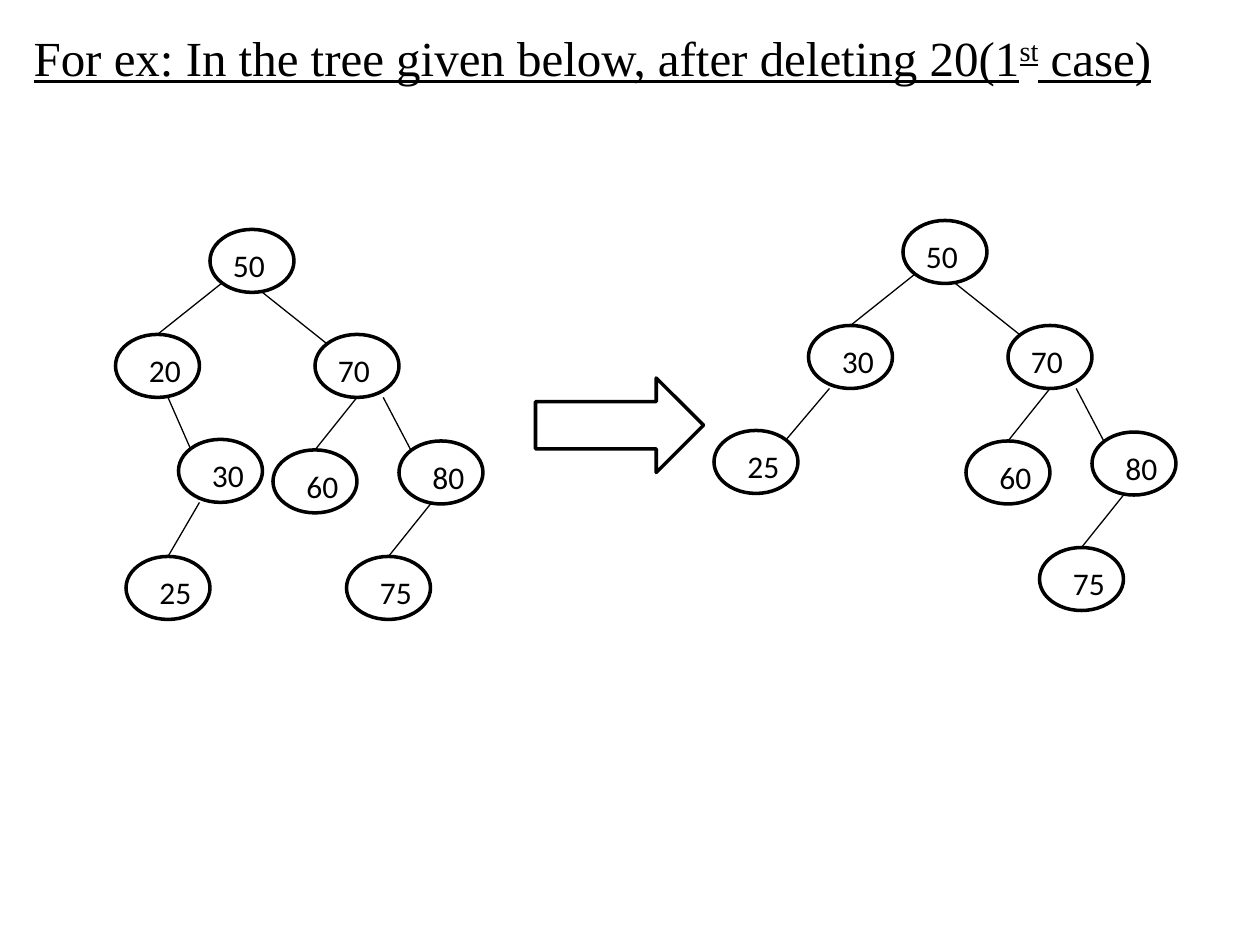
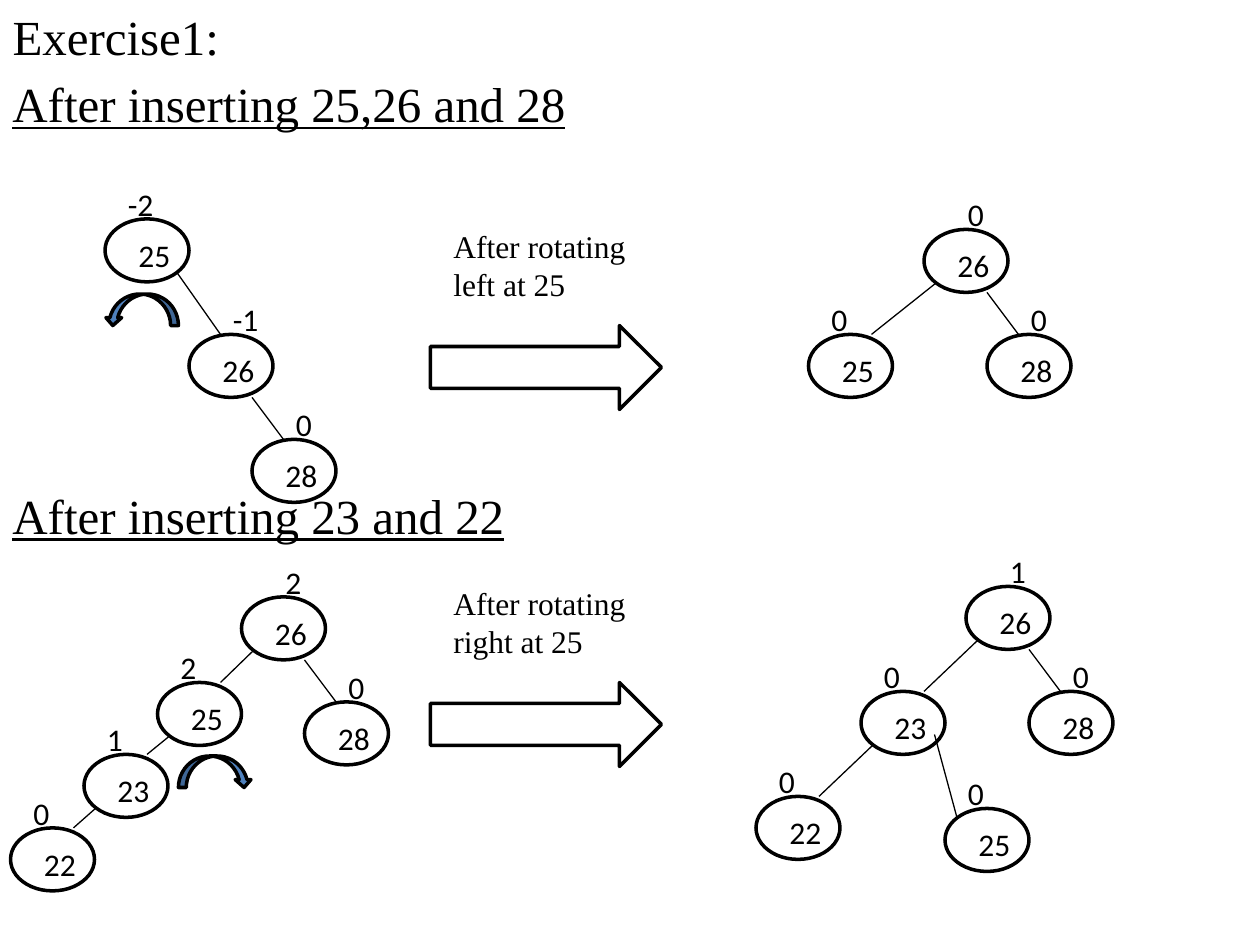
import dataclasses
import typing

import pptx
import pptx.dml.color
import pptx.enum.shapes
import pptx.enum.text
import pptx.oxml.ns
import pptx.util
from lxml import etree

WIDTH, HEIGHT = pptx.util.Inches(10), pptx.util.Inches(7.5)
COLUMN, ROW = WIDTH / 120, HEIGHT / 90
COLORS = {"ink": "000000", "paper": "FFFFFF", "turn": "4F81BD"}
HEADING_FONT, LABEL_FONT = "Times New Roman", "Calibri"
NODE_WIDTH, NODE_HEIGHT = 8, 6
KEY_DROP, BALANCE_RISE = 1, 3.85
SHAPES = pptx.enum.shapes.MSO_SHAPE

Point = tuple[float, float]

# Points where branches meet a node, in columns and rows from its top left
TOP, BOTTOM = (4, 0), (4, 6)
TOP_LEFT, TOP_RIGHT = (3, 0), (6, 0)
UPPER_LEFT, UPPER_RIGHT = (1.15, 0.9), (6.85, 0.9)
LOWER_LEFT, LOWER_RIGHT = (1.15, 5.1), (6.85, 5.1)
BOTTOM_LEFT, BOTTOM_RIGHT, BOTTOM_FAR_RIGHT = (2, 6), (6, 6), (6.5, 6)
BOTTOM_NEAR_LEFT, BOTTOM_NEAR_RIGHT = (3, 6), (5, 6)
INNER_RIGHT = (7, 4.1)


@dataclasses.dataclass(frozen=True)
class Area:
    """A place on the slide in grid columns and rows."""
    column: float
    row: float
    columns: float
    rows: float

    def lengths(self) -> tuple[int, int, int, int]:
        return (round(self.column * COLUMN), round(self.row * ROW),
                round(self.columns * COLUMN), round(self.rows * ROW))


@dataclasses.dataclass(frozen=True)
class Node:
    key: str
    column: float
    row: float
    parent: str = ""
    start: Point = LOWER_LEFT
    end: Point = TOP
    key_shift: float = 2
    balance: str = ""
    balance_shift: float = 3


@dataclasses.dataclass(frozen=True)
class Tree:
    nodes: list[Node]
    key_columns: float


@dataclasses.dataclass(frozen=True)
class Rotation:
    """A labelled step arrow with the curved arrow that shows the turn."""
    caption: str
    caption_row: float
    arrow_row: float
    turn: Area
    leftward: bool


def deletion_tree(column: float, row: float, lower_nodes: list[Node]) -> Tree:
    """The part both trees of the deletion share, with its own left branch."""
    return Tree([
        Node("50", column, row, key_shift=1),
        Node("70", column + 10, row + 10, "50", BOTTOM_NEAR_RIGHT, UPPER_LEFT, 1),
        Node("60", column + 6, row + 21, "70", BOTTOM),
        Node("80", column + 18, row + 20.15, "70", BOTTOM_FAR_RIGHT, UPPER_LEFT),
        Node("75", column + 13, row + 31.15, "80", BOTTOM_NEAR_LEFT),
        *lower_nodes], 6)


DELETION_TREES = [
    deletion_tree(20, 21.85, [
        Node("20", 11, 31.85, "50"),
        Node("30", 17, 41.85, "20", BOTTOM_NEAR_RIGHT, UPPER_LEFT),
        Node("25", 12, 53, "30", BOTTOM_LEFT)]),
    deletion_tree(86, 21, [
        Node("30", 77, 31, "50"),
        Node("25", 68, 41, "30", BOTTOM_LEFT, UPPER_RIGHT)]),
]


def root(key: str, column: float, row: float, balance: str, shift: float = 3) -> Node:
    return Node(key, column, row, balance=balance, balance_shift=shift)


def left_child(key: str, column: float, row: float, parent: str, balance: str) -> Node:
    return Node(key, column, row, parent, LOWER_LEFT, TOP_RIGHT,
                balance=balance, balance_shift=1)


def right_child(key: str, column: float, row: float, parent: str, balance: str,
                start: Point = BOTTOM_RIGHT) -> Node:
    return Node(key, column, row, parent, start, TOP_LEFT, balance=balance)


INSERTION_TREES = [
    Tree([root("25", 10, 20.85, "-2", 1),
          right_child("26", 18, 31.85, "25", "-1", LOWER_RIGHT),
          right_child("28", 24, 41.85, "26", "0")], 7),
    Tree([root("26", 88, 21.85, "0"),
          left_child("25", 77, 31.85, "26", "0"),
          right_child("28", 94, 31.85, "26", "0")], 7),
    Tree([root("26", 23, 56.85, "2"),
          left_child("25", 15, 65, "26", "2"),
          right_child("28", 29, 66.85, "26", "0"),
          left_child("23", 8, 71.85, "25", "1"),
          left_child("22", 1, 78.85, "23", "0")], 7),
    Tree([root("26", 92, 55.85, "1"),
          left_child("23", 82, 65.85, "26", "0"),
          right_child("28", 98, 65.85, "26", "0"),
          left_child("22", 72, 75.85, "23", "0"),
          Node("25", 90, 77, "23", INNER_RIGHT, UPPER_LEFT,
               balance="0", balance_shift=1)], 7),
]

ROTATIONS = [
    Rotation("After rotating left at 25", 21, 31, Area(10, 28, 7, 3), True),
    Rotation("After rotating right at 25", 55, 65, Area(17, 72, 7, 3), False),
]


def color(name: str) -> pptx.dml.color.RGBColor:
    return pptx.dml.color.RGBColor.from_string(COLORS[name])


def format_text(para: typing.Any, font_name: str, size: float, underline: bool = False) -> None:
    para.alignment = pptx.enum.text.PP_ALIGN.LEFT
    para.font.name = font_name
    para.font.size = pptx.util.Pt(size)
    para.font.color.rgb = color("ink")
    para.font.underline = underline


def add_label(slide: typing.Any, text: str, area: Area, font_name: str = LABEL_FONT,
              size: float = 18, underline: bool = False) -> None:
    frame = slide.shapes.add_textbox(*area.lengths()).text_frame
    frame.word_wrap = True
    frame.auto_size = pptx.enum.text.MSO_AUTO_SIZE.SHAPE_TO_FIT_TEXT
    frame.text = text
    format_text(frame.paragraphs[0], font_name, size, underline)


def add_outlined(slide: typing.Any, kind: typing.Any, area: Area,
                 fill: str | None = "paper") -> typing.Any:
    shape = slide.shapes.add_shape(kind, *area.lengths())
    shape.shadow.inherit = False
    if fill:
        shape.fill.solid()
        shape.fill.fore_color.rgb = color(fill)
    else:
        shape.fill.background()
    shape.line.color.rgb = color("ink")
    shape.line.width = pptx.util.Pt(2)
    return shape


def add_branch(slide: typing.Any, parent: Node, child: Node, child_shape: typing.Any) -> None:
    ends = [(round((node.column + point[0]) * COLUMN), round((node.row + point[1]) * ROW))
            for node, point in ((parent, child.start), (child, child.end))]
    branch = slide.shapes.add_connector(
        pptx.enum.shapes.MSO_CONNECTOR.STRAIGHT, *ends[0], *ends[1])
    branch.line.color.rgb = color("ink")
    branch.line.width = pptx.util.Pt(0.75)
    etree.SubElement(branch._element.spPr, pptx.oxml.ns.qn("a:effectLst"))
    if child.end == TOP:
        branch.end_connect(child_shape, 0)


def draw_tree(slide: typing.Any, tree: Tree) -> None:
    nodes = {node.key: node for node in tree.nodes}
    ovals = {}
    for node in tree.nodes:
        ovals[node.key] = add_outlined(
            slide, SHAPES.OVAL, Area(node.column, node.row, NODE_WIDTH, NODE_HEIGHT))
        add_label(slide, node.key, Area(node.column + node.key_shift,
                                        node.row + KEY_DROP, tree.key_columns, 4.85))
        if node.balance:
            add_label(slide, node.balance, Area(node.column + node.balance_shift,
                                                node.row - BALANCE_RISE, 5, 4.85))
    for node in tree.nodes:
        if node.parent:
            add_branch(slide, nodes[node.parent], node, ovals[node.key])


def draw_rotation(slide: typing.Any, rotation: Rotation) -> None:
    turn = add_outlined(slide, SHAPES.CURVED_DOWN_ARROW, rotation.turn, "turn")
    if rotation.leftward:
        turn._element.spPr.xfrm.set("flipH", "1")
    add_outlined(slide, SHAPES.RIGHT_ARROW, Area(41, rotation.arrow_row, 22, 8), None)
    add_label(slide, rotation.caption, Area(42, rotation.caption_row, 19, 8.5), HEADING_FONT)


def add_titled_slide(deck: typing.Any, runs: list[str], area: Area,
                     underline: bool = False) -> typing.Any:
    """Adds a slide whose title has every second run raised."""
    slide = deck.slides.add_slide(deck.slide_layouts[5])
    title = slide.shapes.title
    title.left, title.top, title.width, title.height = area.lengths()
    frame = title.text_frame
    frame.word_wrap = True
    frame.auto_size = pptx.enum.text.MSO_AUTO_SIZE.NONE
    frame.vertical_anchor = pptx.enum.text.MSO_ANCHOR.TOP
    para = frame.paragraphs[0]
    for index, text in enumerate(runs):
        span = para.add_run()
        span.text = text
        if index % 2:
            span._r.get_or_add_rPr().set("baseline", "30000")
    format_text(para, HEADING_FONT, 28, underline)
    return slide


def build_deletion(deck: typing.Any) -> None:
    slide = add_titled_slide(
        deck, ["For ex: In the tree given below, after deleting 20(1", "st", " case)"],
        Area(2, 2, 116, 7), underline=True)
    for tree in DELETION_TREES:
        draw_tree(slide, tree)
    add_outlined(slide, SHAPES.RIGHT_ARROW, Area(51, 36, 16, 9))


def build_insertion(deck: typing.Any) -> None:
    slide = add_titled_slide(deck, ["Exercise1:"], Area(0, 0, 117, 6.4))
    for text, row in (("After inserting 25,26 and 28", 6.4),
                      ("After inserting 23 and 22", 45.6)):
        add_label(slide, text, Area(0, row, 117, 6.4), HEADING_FONT, 28, True)
    for tree in INSERTION_TREES:
        draw_tree(slide, tree)
    for rotation in ROTATIONS:
        draw_rotation(slide, rotation)


def main() -> None:
    deck = pptx.Presentation()
    deck.slide_width, deck.slide_height = WIDTH, HEIGHT
    build_deletion(deck)
    build_insertion(deck)
    deck.save("out.pptx")


if __name__ == "__main__":
    main()
